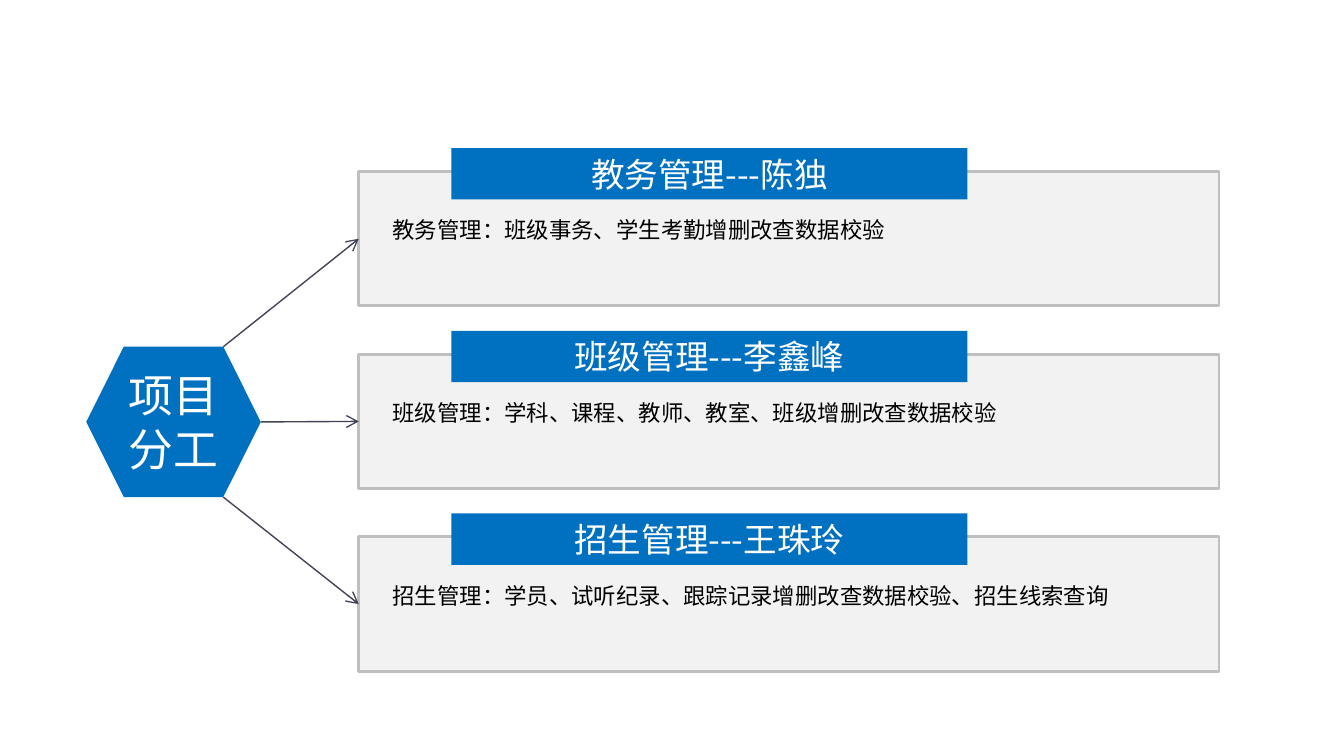
from lxml import etree
from pptx import Presentation
from pptx.dml.color import RGBColor
from pptx.enum.shapes import MSO_CONNECTOR, MSO_SHAPE
from pptx.enum.text import MSO_ANCHOR, PP_ALIGN
from pptx.oxml.ns import qn
from pptx.util import Cm, Pt

RECTANGLE, HEXAGON = MSO_SHAPE.RECTANGLE, MSO_SHAPE.HEXAGON
STRAIGHT = MSO_CONNECTOR.STRAIGHT
TOP, MIDDLE = MSO_ANCHOR.TOP, MSO_ANCHOR.MIDDLE
LEFT, CENTER = PP_ALIGN.LEFT, PP_ALIGN.CENTER

BLUE = RGBColor(0x00, 0x70, 0xC0)
PALE_GRAY = RGBColor(0xF2, 0xF2, 0xF2)
BORDER_GRAY = RGBColor(0xBF, 0xBF, 0xBF)
SLATE = RGBColor(0x41, 0x44, 0x55)
WHITE = RGBColor(0xFF, 0xFF, 0xFF)
BLACK = RGBColor(0x00, 0x00, 0x00)
FONT = "Noto Sans CJK SC"

DUTIES = [
    ("教务管理---陈独", "教务管理：班级事务、学生考勤增删改查数据校验"),
    ("班级管理---李鑫峰", "班级管理：学科、课程、教师、教室、班级增删改查数据校验"),
    ("招生管理---王珠玲", "招生管理：学员、试听纪录、跟踪记录增删改查数据校验、招生线索查询"),
]
PANEL_LEFT, PANEL_TOP, PANEL_WIDTH, PANEL_HEIGHT = 6.78, 3.24, 16.26, 2.54
PANEL_PITCH = 3.45
HUB_LEFT, HUB_TOP, HUB_WIDTH, HUB_HEIGHT = 1.63, 6.55, 3.3, 2.84
HUB_INSET = HUB_HEIGHT / 4


def write_text(shape, text, size=12, color=BLACK, align=LEFT, anchor=TOP, spacing=1.0):
    """Put formatted text into a shape or text box."""
    frame = shape.text_frame
    frame.word_wrap = True
    frame.vertical_anchor = anchor
    frame.margin_left = frame.margin_right = Cm(0.18)
    frame.margin_top = frame.margin_bottom = Cm(0.1)
    paragraph = frame.paragraphs[0]
    paragraph.alignment = align
    paragraph.line_spacing = spacing
    run = paragraph.add_run()
    run.text = text
    run.font.size = Pt(size)
    run.font.name = FONT
    run.font.color.rgb = color
    east_asian = etree.SubElement(run.font._element, qn("a:ea"))
    east_asian.set("typeface", FONT)


def add_block(slide, kind, left, top, width, height, fill, border=None):
    """Add a flat filled shape, with a border if a colour is given."""
    block = slide.shapes.add_shape(kind, Cm(left), Cm(top), Cm(width), Cm(height))
    block.shadow.inherit = False
    block.fill.solid()
    block.fill.fore_color.rgb = fill
    if border is None:
        block.line.fill.background()
    else:
        block.line.color.rgb = border
        block.line.width = Pt(1.5)
    return block


def add_panel(slide, left, top, width, height, heading, duty):
    """Add a gray panel with a heading banner across its top edge."""
    add_block(slide, RECTANGLE, left, top, width, height, PALE_GRAY, BORDER_GRAY)
    banner = add_block(slide, RECTANGLE, left + 1.75, top - 0.44, width * 0.6, 0.97, BLUE)
    write_text(banner, heading, size=18, color=WHITE, align=CENTER, anchor=MIDDLE)
    description = slide.shapes.add_textbox(
        Cm(left + 0.46), Cm(top + 0.6), Cm(width - 1.05), Cm(0.86))
    write_text(description, duty, spacing=1.3)


def add_hub(slide, left, top, width, height):
    """Add the hexagon that names the topic."""
    hub = add_block(slide, HEXAGON, left, top, width, height, BLUE)
    write_text(hub, "项目分工", size=24, color=WHITE, align=CENTER, anchor=MIDDLE)


def add_arrow(slide, start, end):
    """Add a thin line with an open arrowhead at its end."""
    arrow = slide.shapes.add_connector(STRAIGHT, *(Cm(v) for v in (*start, *end)))
    arrow.line.color.rgb = SLATE
    arrow.line.width = Pt(0.75)
    outline = arrow.line._get_or_add_ln()
    etree.SubElement(outline, qn("a:tailEnd")).set("type", "arrow")
    etree.SubElement(arrow._element.spPr, qn("a:effectLst"))


def build_division_slide(slide):
    """Place the hub, the duty panels and the arrows between them."""
    add_hub(slide, HUB_LEFT, HUB_TOP, HUB_WIDTH, HUB_HEIGHT)
    hub_right = HUB_LEFT + HUB_WIDTH
    arrow_starts = [
        (hub_right - HUB_INSET, HUB_TOP),
        (hub_right, HUB_TOP + HUB_HEIGHT / 2),
        (hub_right - HUB_INSET, HUB_TOP + HUB_HEIGHT),
    ]
    for row, ((heading, duty), start) in enumerate(zip(DUTIES, arrow_starts)):
        top = PANEL_TOP + row * PANEL_PITCH
        add_panel(slide, PANEL_LEFT, top, PANEL_WIDTH, PANEL_HEIGHT, heading, duty)
        add_arrow(slide, start, (PANEL_LEFT, top + PANEL_HEIGHT / 2))


presentation = Presentation()
presentation.slide_width = Cm(25.4)
presentation.slide_height = Cm(14.28)
blank_layout = presentation.slide_layouts[6]
build_division_slide(presentation.slides.add_slide(blank_layout))
presentation.save("out.pptx")
